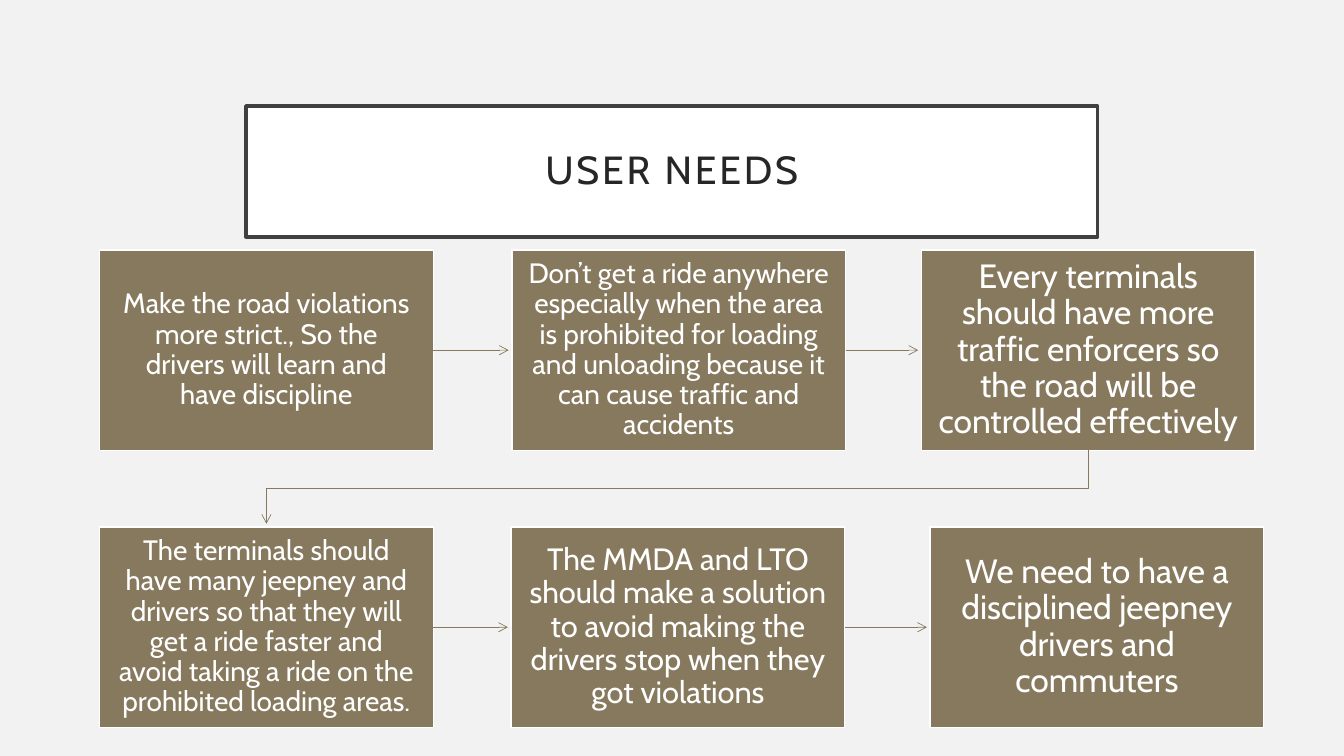
from lxml import etree
from pptx import Presentation
from pptx import util as u
from pptx.dml.color import RGBColor
from pptx.enum import shapes, text
from pptx.oxml import ns

BACKGROUND = RGBColor(0xF2, 0xF2, 0xF2)
WHITE = RGBColor(0xFF, 0xFF, 0xFF)
BROWN = RGBColor(0x87, 0x79, 0x5D)
FRAME = RGBColor(0x40, 0x40, 0x40)
INK = RGBColor(0x26, 0x26, 0x26)

BOX_W, BOX_H = 8.41, 5.05
GAP = 0.08
ROWS = [
    (6.3, [
        (2.51, 20, "Make the road violations more strict., So the drivers will learn and have discipline"),
        (12.9, 20, "Don’t get a ride anywhere especially when the area is prohibited for loading "
                   "and unloading because it can cause traffic and accidents"),
        (23.22, 24, "Every terminals should have more traffic enforcers so the road will be "
                    "controlled effectively"),
    ]),
    (13.28, [
        (2.51, 20, "The terminals should have many jeepney and drivers so that they will get a ride "
                   "faster and avoid taking a ride on the prohibited loading areas."),
        (12.88, 22, "The MMDA and LTO should make a solution to avoid making the drivers stop "
                    "when they got violations"),
        (23.44, 24, "We need to have a disciplined jeepney drivers and commuters"),
    ]),
]


class Deck:
    font = "Cabin"

    def __init__(self):
        self.prs = Presentation()
        self.prs.slide_width, self.prs.slide_height = u.Cm(33.87), u.Cm(19.05)
        self.s = self.prs.slides.add_slide(self.prs.slide_layouts[5])
        fill = self.s.background.fill
        fill.solid()
        fill.fore_color.rgb = BACKGROUND

    def paint(self, sp, fill, line, width):
        sp.fill.solid()
        sp.fill.fore_color.rgb = fill
        sp.line.color.rgb = line
        sp.line.width = u.Pt(width)

    def label(self, sp, words, size, color, margin):
        tf = sp.text_frame
        tf.word_wrap = True
        tf.auto_size = text.MSO_AUTO_SIZE.NONE
        tf.vertical_anchor = text.MSO_ANCHOR.MIDDLE
        tf.margin_left = tf.margin_right = u.Cm(margin)
        tf.margin_top = tf.margin_bottom = u.Cm(margin)
        p = tf.paragraphs[0]
        p.text = words
        p.alignment = text.PP_ALIGN.CENTER
        p.line_spacing = 0.9
        p.font.name, p.font.size = self.font, u.Pt(size)
        p.font.color.rgb = color
        return p

    def title(self, words):
        sp = self.s.shapes.title
        sp.left, sp.top, sp.width, sp.height = map(u.Cm, (6.2, 2.67, 21.46, 3.3))
        self.paint(sp, WHITE, FRAME, 2.5)
        p = self.label(sp, words, 28, INK, 0.51)
        r = p.runs[0]
        r._r.get_or_add_rPr().set("spc", "200")

    def box(self, left, top, size, words):
        sp = self.s.shapes.add_shape(
            shapes.MSO_SHAPE.RECTANGLE, *map(u.Cm, (left, top, BOX_W, BOX_H)))
        sp.shadow.inherit = False
        self.paint(sp, BROWN, WHITE, 1)
        self.label(sp, words, size, WHITE, 0.42)

    def arrow_line(self, sp):
        sp.line.color.rgb = BROWN
        sp.line.width = u.Pt(0.5)
        ln = sp._element.spPr.find(ns.qn("a:ln"))
        etree.SubElement(ln, ns.qn("a:tailEnd"), type="arrow")

    def arrow(self, x1, x2, y):
        sp = self.s.shapes.add_connector(
            shapes.MSO_CONNECTOR.STRAIGHT, *map(u.Cm, (x1, y, x2, y)))
        self.arrow_line(sp)
        etree.SubElement(sp._element.spPr, ns.qn("a:effectLst"))

    def bent_arrow(self, points):
        start, *rest = [(u.Cm(x), u.Cm(y)) for x, y in points]
        builder = self.s.shapes.build_freeform(*start)
        builder.add_line_segments(rest, close=False)
        sp = builder.convert_to_shape()
        sp.shadow.inherit = False
        sp.fill.background()
        self.arrow_line(sp)


def main():
    deck = Deck()
    deck.title("USER NEEDS")
    for top, boxes in ROWS:
        for left, size, words in boxes:
            deck.box(left, top, size, words)
        for here, following in zip(boxes, boxes[1:]):
            deck.arrow(here[0] + BOX_W, following[0] - GAP, top + BOX_H / 2)

    (top, upper), (next_top, lower) = ROWS
    start_x, end_x = upper[-1][0] + BOX_W / 2, lower[0][0] + BOX_W / 2
    bottom = top + BOX_H
    turn = (bottom + next_top) / 2
    deck.bent_arrow([(start_x, bottom), (start_x, turn), (end_x, turn), (end_x, next_top - GAP)])
    deck.prs.save("out.pptx")


if __name__ == "__main__":
    main()
